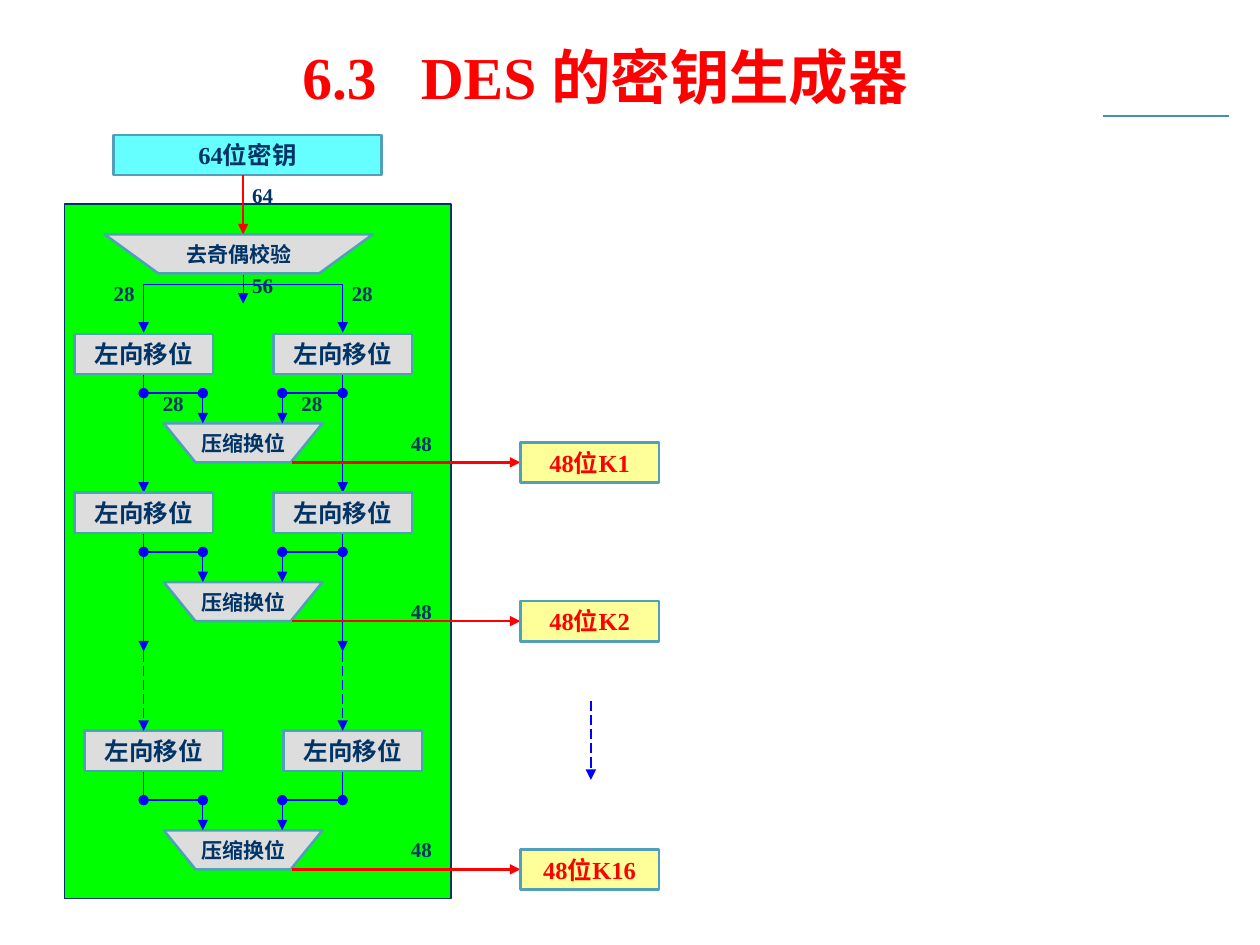
from dataclasses import dataclass

from lxml.etree import SubElement
from pptx import Presentation
from pptx.dml.color import RGBColor as RGB
from pptx.enum.dml import MSO_LINE as Dash
from pptx.enum.shapes import MSO_CONNECTOR as Connector, MSO_SHAPE as Shape
from pptx.enum.text import MSO_ANCHOR as Anchor, MSO_AUTO_SIZE as AutoSize, PP_ALIGN as Align
from pptx.oxml.ns import qn
from pptx.util import Inches, Pt


@dataclass(frozen=True)
class Theme:
    panel: str = "00FF00"
    step: str = "DDDDDD"
    source: str = "66FFFF"
    subkey: str = "FFFF99"
    border: str = "51A0B9"
    ink: str = "003366"
    flow: str = "0000FF"
    accent: str = "FF0000"
    rule: str = "438ACB"
    serif: str = "Times New Roman"
    sans: str = "Arial"
    title_size: float = 34
    box_size: float = 14
    small_size: float = 12
    thin: float = 0.75
    thick: float = 1.5


class KeyDiagram:
    def __init__(self, slide, theme):
        self.slide = slide
        self.theme = theme

    def center_text(self, shape, text, size, color, font):
        frame = shape.text_frame
        frame.word_wrap = False
        frame.vertical_anchor = Anchor.MIDDLE
        frame.margin_left = frame.margin_right = Inches(0.08)
        frame.margin_top = frame.margin_bottom = Inches(0.04)
        paragraph = frame.paragraphs[0]
        paragraph.alignment = Align.CENTER
        self.add_run(paragraph, text, size, color, font)

    def add_run(self, paragraph, text, size, color, font):
        run = paragraph.add_run()
        run.text = text
        run.font.size = Pt(size)
        run.font.bold = True
        run.font.name = font
        run.font.color.rgb = RGB.from_string(color)

    def style_line(self, line, color, width, head=None, tail=None, dash=None):
        line.color.rgb = RGB.from_string(color)
        line.width = Pt(width)
        if dash:
            line.dash_style = dash
        ln = line._get_or_add_ln()
        for tag, kind in (("a:headEnd", head), ("a:tailEnd", tail)):
            if kind:
                SubElement(ln, qn(tag)).set("type", kind)

    def title(self, number, heading):
        title = self.slide.shapes.title
        title.left, title.top = Inches(2.24), Inches(0.28)
        title.width, title.height = Inches(5.67), Inches(0.65)
        frame = title.text_frame
        frame.auto_size = AutoSize.NONE
        frame.word_wrap = True
        frame.vertical_anchor = Anchor.TOP
        frame.margin_left, frame.margin_right = Inches(0.16), Inches(0.08)
        frame.margin_top = frame.margin_bottom = Inches(0.04)
        paragraph = frame.paragraphs[0]
        paragraph.alignment = Align.LEFT
        tabs = SubElement(paragraph._p.get_or_add_pPr(), qn("a:tabLst"))
        stop = SubElement(tabs, qn("a:tab"))
        stop.set("pos", str(Inches(0.94)))
        stop.set("algn", "l")
        self.add_run(paragraph, f"{number}\t{heading}", self.theme.title_size,
                     self.theme.accent, self.theme.serif)

    def block(self, kind, x, y, w, h, fill, border, width):
        shape = self.slide.shapes.add_shape(kind, Inches(x), Inches(y), Inches(w), Inches(h))
        shape.shadow.inherit = False
        shape.fill.solid()
        shape.fill.fore_color.rgb = RGB.from_string(fill)
        self.style_line(shape.line, border, width)
        return shape

    def box(self, text, x, y, w=1.1, fill=None, color=None):
        t = self.theme
        shape = self.block(Shape.RECTANGLE, x, y, w, 0.32, fill or t.step, t.border, t.thick)
        self.center_text(shape, text, t.box_size, color or t.ink, t.serif)

    def funnel(self, text, x, y, w):
        t = self.theme
        shape = self.block(Shape.FLOWCHART_MANUAL_OPERATION, x, y, w, 0.31,
                           t.step, t.border, t.thick)
        self.center_text(shape, text, t.small_size, t.ink, t.sans)

    def label(self, text, x, y, w=0.47, h=0.16):
        shape = self.slide.shapes.add_textbox(Inches(x), Inches(y), Inches(w), Inches(h))
        self.center_text(shape, text, self.theme.small_size, self.theme.ink, self.theme.serif)

    def line(self, x1, y1, x2, y2, color=None, width=None, **ends):
        link = self.slide.shapes.add_connector(
            Connector.STRAIGHT, Inches(x1), Inches(y1), Inches(x2), Inches(y2))
        self.style_line(link.line, color or self.theme.flow, width or self.theme.thin, **ends)
        SubElement(link._element.spPr, qn("a:effectLst"))

    def arrow(self, x1, y1, x2, y2, **style):
        self.line(x1, y1, x2, y2, tail="triangle", **style)

    def red_arrow(self, x1, y1, x2, y2):
        self.arrow(x1, y1, x2, y2, color=self.theme.accent, width=self.theme.thick)

    def fork(self, points):
        corners = [(Inches(x), Inches(y)) for x, y in points]
        builder = self.slide.shapes.build_freeform(*corners[0])
        builder.add_line_segments(corners[1:], close=False)
        bracket = builder.convert_to_shape()
        bracket.shadow.inherit = False
        bracket.fill.background()
        self.style_line(bracket.line, self.theme.flow, self.theme.thin, "triangle", "triangle")


LEFT, MIDDLE, RIGHT = 1.14, 1.93, 2.72  # the two 28-bit halves and the axis between
SHIFT_W, KEY_X = 1.1, 4.13

# Subkey, height of the branch line, box nudge, height of the "48" label
ROUNDS = [("K1", 3.12, 0, 3.44), ("K2", 4.38, 0, 4.77), ("K16", 6.35, 0.08, 6.66)]


def draw_round(diagram, subkey, branch_y, nudge, label_y):
    is_last = subkey == "K16"
    box_y = branch_y - 0.47 - nudge
    for half_x, inner_x in ((LEFT, 1.61), (RIGHT, 2.24)):
        if is_last:
            diagram.line(half_x, box_y + 0.31, half_x, branch_y)
        else:
            diagram.arrow(half_x, box_y + 0.31, half_x, branch_y + 0.79)
        diagram.line(half_x, branch_y, inner_x, branch_y, head="oval", tail="oval")
        diagram.box("左向移位", half_x - SHIFT_W / 2 + nudge, box_y)
    diagram.funnel("压缩换位", 1.3, branch_y + 0.24, 1.26)
    for inner_x in (1.61, 2.24):
        diagram.arrow(inner_x, branch_y, inner_x, branch_y + 0.24)

    # Subkey output
    diagram.red_arrow(2.32, branch_y + 0.55, KEY_X, branch_y + 0.55)
    diagram.box(f"48位{subkey}", KEY_X, branch_y + 0.39,
                fill=diagram.theme.subkey, color=diagram.theme.accent)
    diagram.label("48", 3.11, label_y)


def main():
    deck = Presentation()
    deck.slide_width, deck.slide_height = Inches(10), Inches(7.5)
    theme = Theme()
    diagram = KeyDiagram(deck.slides.add_slide(deck.slide_layouts[5]), theme)

    # Heading
    diagram.line(8.75, 0.92, 9.75, 0.92, color=theme.rule)
    diagram.title("6.3", "DES 的密钥生成器")

    # Key input and parity removal
    diagram.block(Shape.RECTANGLE, 0.51, 1.62, 3.07, 5.51, theme.panel, theme.ink, theme.thin)
    diagram.funnel("去奇偶校验", 0.83, 1.86, 2.13)
    diagram.box("64位密钥", 0.9, 1.07, w=2.13, fill=theme.source)
    diagram.red_arrow(MIDDLE, 1.39, MIDDLE, 1.86)
    diagram.arrow(MIDDLE, 2.18, MIDDLE, 2.41)
    diagram.fork([(LEFT, 2.64), (LEFT, 2.26), (RIGHT, 2.26), (RIGHT, 2.64)])

    # Rounds, with the omitted ones dashed
    for key_round in ROUNDS:
        draw_round(diagram, *key_round)
    for x, y in ((LEFT, 5.17), (RIGHT, 5.17), (4.69, 5.56)):
        diagram.arrow(x, y, x, y + 0.63, dash=Dash.LONG_DASH)

    # Bit counts
    diagram.label("64", 1.77, 1.39, 0.63, 0.32)
    diagram.label("56", 1.85, 2.18)
    for x, y in ((0.75, 2.25), (2.64, 2.25), (LEFT, 3.12), (2.24, 3.12)):
        diagram.label("28", x, y)

    deck.save("out.pptx")


if __name__ == "__main__":
    main()
